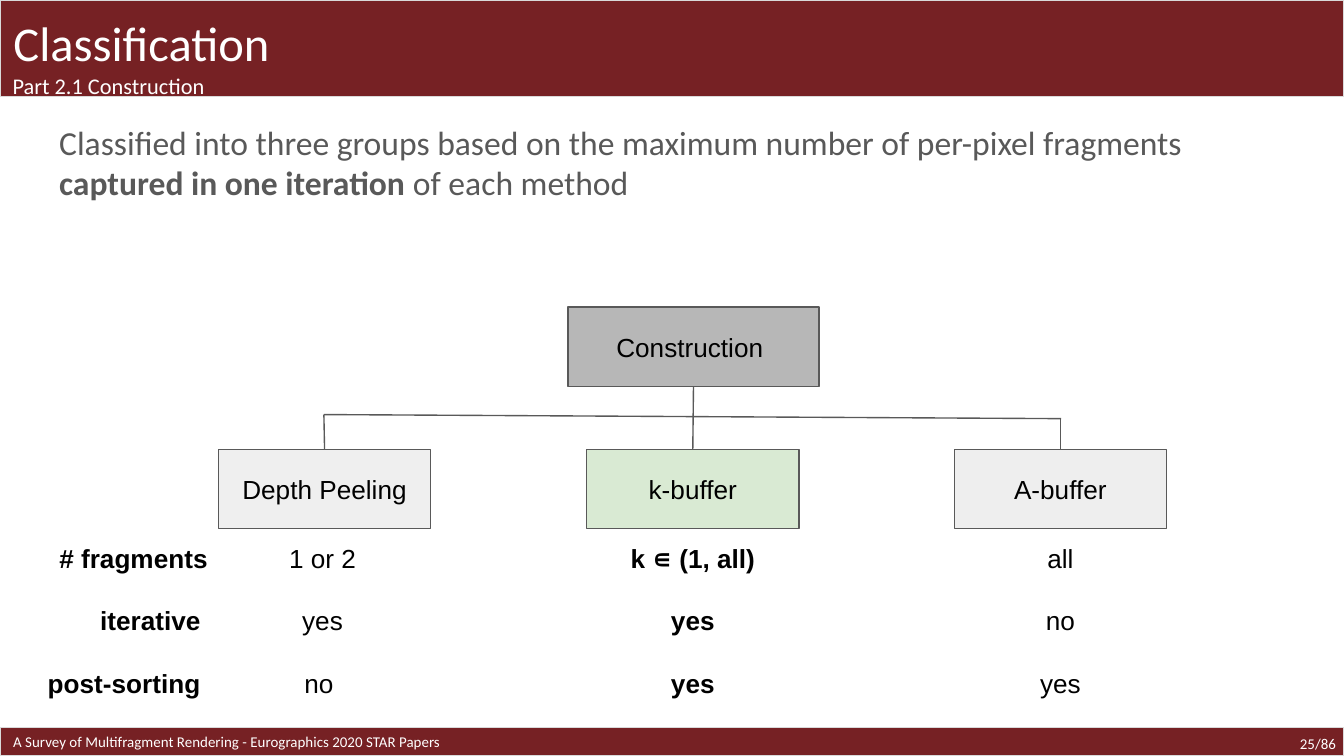
from dataclasses import dataclass
from typing import Any, NamedTuple

from lxml import etree
from pptx import Presentation
from pptx.dml.color import RGBColor
from pptx.enum.shapes import MSO_CONNECTOR, MSO_SHAPE
from pptx.enum.text import MSO_ANCHOR, MSO_AUTO_SIZE, PP_ALIGN
from pptx.oxml.ns import qn
from pptx.util import Emu, Pt

RECT, STRAIGHT = MSO_SHAPE.RECTANGLE, MSO_CONNECTOR.STRAIGHT
TOP, MIDDLE = MSO_ANCHOR.TOP, MSO_ANCHOR.MIDDLE
LEFT, CENTER, RIGHT = PP_ALIGN.LEFT, PP_ALIGN.CENTER, PP_ALIGN.RIGHT
NO_FIT = MSO_AUTO_SIZE.NONE
SIDE_TOP, SIDE_BOTTOM = 0, 2
PX = 4572


class Box(NamedTuple):
    x: int
    y: int
    w: int
    h: int

    def emu(self) -> list[Emu]:
        return [px(v) for v in self]


class Run(NamedTuple):
    text: str
    bold: bool = False


@dataclass(frozen=True)
class Style:
    font: str
    size: int
    color: str


@dataclass(frozen=True)
class Theme:
    band: str = "762124"
    band_line: str = "D9D9D9"
    line: str = "595959"
    root: str = "B7B7B7"
    title: Style = Style("Calibri", 26, "FFFFFF")
    subtitle: Style = Style("Calibri", 12, "FFFFFF")
    body: Style = Style("Calibri", 18, "595959")
    footer: Style = Style("Calibri", 8, "FFFFFF")
    label: Style = Style("Arial", 14, "000000")
    row_gap: float = 16.6
    body_gap: int = 16


@dataclass(frozen=True)
class Group:
    name: str
    x: int
    values_x: int
    fill: str
    values: tuple[str, ...]
    bold: bool = False


THEME = Theme()
SLIDE_W, SLIDE_H = 2000, 1125
NODE_Y, NODE_W, NODE_H = 669, 316, 118
VALUES_Y, VALUES_H = NODE_Y + NODE_H, 308
GROUPS = (
    Group("Depth Peeling", 325, 322, "EFEFEF", ("1 or 2", "yes", "no ")),
    Group("k-buffer", 873, 873, "D9EAD3", ("k ∊ (1, all)", "yes", "yes"), True),
    Group("A-buffer", 1420, 1420, "EEEEEE", ("all", "no", "yes")),
)
ROW_LABELS = ("# fragments", "iterative ", "post-sorting ")


def px(n: int) -> Emu:
    return Emu(n * PX)


def assign(obj: Any, values: dict[str, Any]) -> None:
    for name, value in values.items():
        setattr(obj, name, value)


def write(sp: Any, paragraphs: list[list[Run]], style: Style, align: Any = LEFT,
          anchor: Any = TOP, gap: float = 0, after: float = 0) -> None:
    tf = sp.text_frame
    margins = dict.fromkeys(
        ("margin_left", "margin_top", "margin_right", "margin_bottom"), px(20))
    assign(tf, {"word_wrap": True, "auto_size": NO_FIT,
                "vertical_anchor": anchor, **margins})
    for i, runs in enumerate(paragraphs):
        p = tf.add_paragraph() if i else tf.paragraphs[0]
        assign(p, {"alignment": align, "space_before": Pt(gap if i else 0),
                   "space_after": Pt(after)})
        for run in runs:
            r = p.add_run()
            r.text = run.text
            assign(r.font, {"name": style.font, "size": Pt(style.size), "bold": run.bold})
            r.font.color.rgb = RGBColor.from_string(style.color)


def place(sp: Any, box: Box) -> None:
    assign(sp, dict(zip(("left", "top", "width", "height"), box.emu())))


def add_rect(s: Any, box: Box, fill: str, line: str) -> Any:
    sp = s.shapes.add_shape(RECT, *box.emu())
    sp.shadow.inherit = False
    sp.fill.solid()
    sp.fill.fore_color.rgb = RGBColor.from_string(fill)
    sp.line.color.rgb = RGBColor.from_string(line)
    sp.line.width = Pt(0.75)
    return sp


def add_node(s: Any, box: Box, fill: str, text: str) -> Any:
    sp = add_rect(s, box, fill, THEME.line)
    write(sp, [[Run(text)]], THEME.label, CENTER, MIDDLE)
    return sp


def add_text(s: Any, box: Box, lines: tuple[str, ...], style: Style,
             align: Any = LEFT, bold: bool = False) -> None:
    sp = s.shapes.add_textbox(*box.emu())
    write(sp, [[Run(t, bold)] for t in lines], style, align, gap=THEME.row_gap)


def add_line(s: Any, x1: int, y1: int, x2: int, y2: int) -> Any:
    cx = s.shapes.add_connector(STRAIGHT, px(x1), px(y1), px(x2), px(y2))
    cx.line.color.rgb = RGBColor.from_string(THEME.line)
    cx.line.width = Pt(0.75)
    etree.SubElement(cx._element.spPr, qn("a:effectLst"))
    return cx


def add_frame(s: Any) -> None:
    header = add_rect(s, Box(0, 0, SLIDE_W, 144), THEME.band, THEME.band_line)
    footer = add_rect(s, Box(0, 1083, SLIDE_W, 42), THEME.band, THEME.band_line)
    write(footer, [[Run("A Survey of Multifragment Rendering - Eurographics 2020 STAR Papers")]],
          THEME.footer, anchor=MIDDLE)
    for sp in (header, footer):
        s.shapes._spTree.insert(2, sp._element)

    title, body = s.shapes.title, s.placeholders[1]
    place(title, Box(0, 0, 1634, 144))
    write(title, [[Run("Classification")]], THEME.title)
    place(body, Box(68, 161, 1864, 896))
    pPr = body.text_frame.paragraphs[0]._p.get_or_add_pPr()
    pPr.set("marL", "0")
    pPr.set("indent", "0")
    etree.SubElement(pPr, qn("a:buNone"))
    write(body, [[
        Run("Classified into three groups based on the maximum number of per-pixel fragments "),
        Run("captured in one iteration", True),
        Run(" of each method"),
    ]], THEME.body, after=THEME.body_gap)
    add_text(s, Box(-1, 88, 504, 84), ("Part 2.1 Construction",), THEME.subtitle)
    add_text(s, Box(1828, 1073, 180, 62), ("25/86",), THEME.footer, RIGHT)


def add_tree(s: Any) -> None:
    root = add_node(s, Box(845, 457, 374, NODE_H), THEME.root, "Construction ")
    nodes = [add_node(s, Box(g.x, NODE_Y, NODE_W, NODE_H), g.fill, g.name) for g in GROUPS]
    for g in GROUPS:
        add_text(s, Box(g.values_x, VALUES_Y, NODE_W, VALUES_H), g.values,
                 THEME.label, CENTER, g.bold)
    add_text(s, Box(13, VALUES_Y, NODE_W, VALUES_H), ROW_LABELS, THEME.label, RIGHT, True)

    depth, k_buffer, a_buffer = nodes
    trunk = add_line(s, 1032, 575, 1031, NODE_Y)
    trunk.begin_connect(root, SIDE_BOTTOM)
    trunk.end_connect(k_buffer, SIDE_TOP)
    add_line(s, 1579, 623, 482, 617)
    for node, x, y in ((depth, 482, 617), (a_buffer, 1578, 623)):
        add_line(s, x, NODE_Y, x, y).begin_connect(node, SIDE_TOP)


def main() -> None:
    prs = Presentation()
    prs.slide_width, prs.slide_height = px(SLIDE_W), px(SLIDE_H)
    s = prs.slides.add_slide(prs.slide_layouts[1])
    add_frame(s)
    add_tree(s)
    prs.save("out.pptx")


if __name__ == "__main__":
    main()
